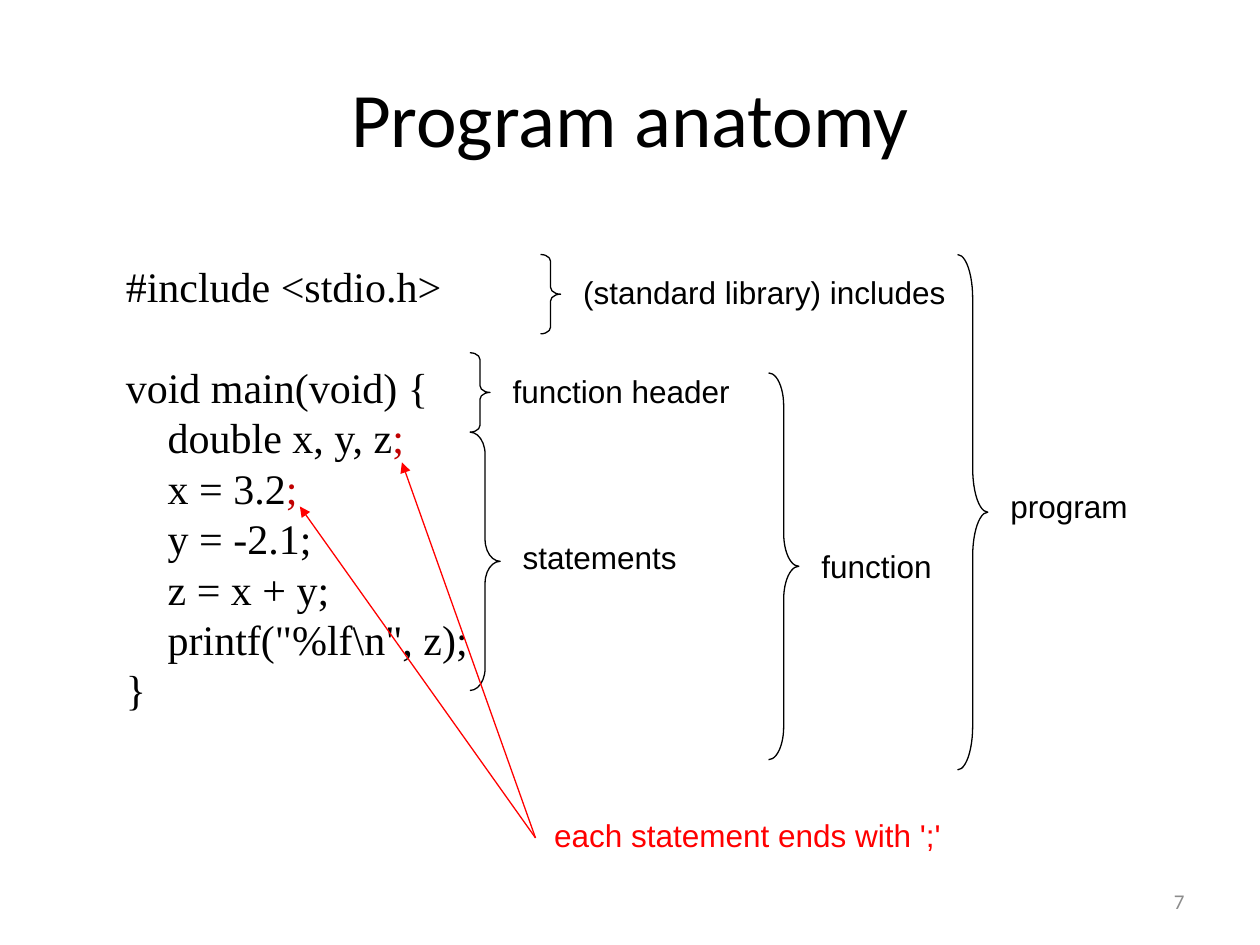
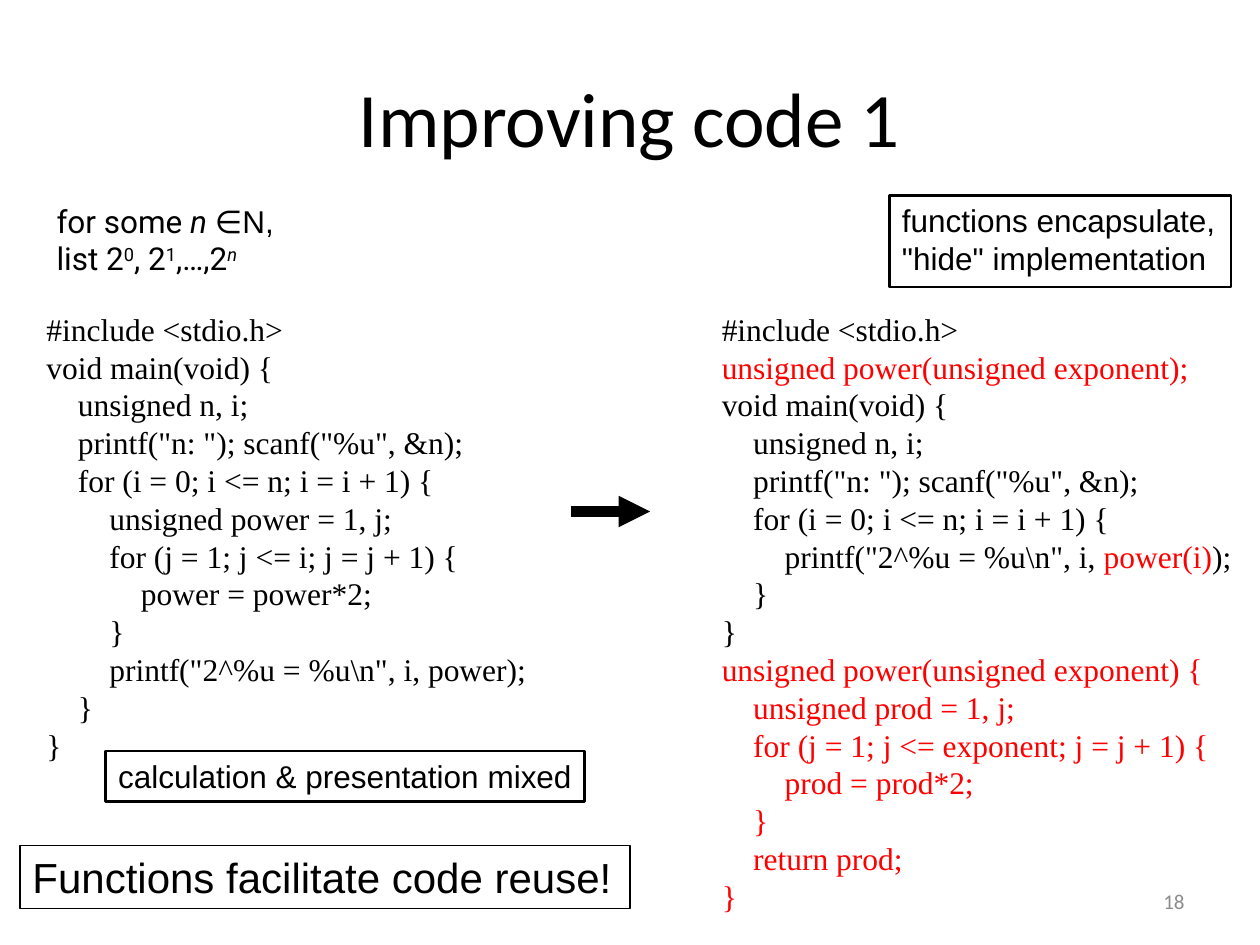
from dataclasses import dataclass

from lxml.etree import SubElement
from pptx import Presentation
from pptx.dml.color import RGBColor
from pptx.enum.shapes import MSO_CONNECTOR, MSO_SHAPE
from pptx.enum.text import MSO_ANCHOR, PP_ALIGN
from pptx.oxml.ns import qn
from pptx.util import Inches, Pt


@dataclass(frozen=True)
class Theme:
    ink: str = "000000"
    red: str = "FF0000"
    dark_red: str = "C00000"
    grey: str = "8C8C8C"
    head_font: str = "Calibri"
    body_font: str = "Arial"
    code_font: str = "Times New Roman"
    math_font: str = "Roboto"
    symbol_font: str = "Comic Neue"
    title: int = 44
    large: int = 24
    body: int = 18
    small: int = 12
    leading: float = 1.2
    thin: float = 0.75
    medium: float = 1.5
    thick: float = 6


COLS, ROWS = 100, 75
PROGRAM = r"""#include <stdio.h>

void main(void) {
    double x, y, z|;|
    x = 3.2|;|
    y = -2.1;
    z = x + y;
    printf("%lf\n", z);
}"""

MIXED_CODE = r"""#include <stdio.h>
void main(void) {
    unsigned n, i;
    printf("n: "); scanf("%u", &n);
    for (i = 0; i <= n; i = i + 1) {
        unsigned power = 1, j;
        for (j = 1; j <= i; j = j + 1) {
            power = power*2;
        }
        printf("2^%u = %u\n", i, power);
    }
}"""

SPLIT_CODE = r"""#include <stdio.h>
|unsigned power(unsigned exponent);|
void main(void) {
    unsigned n, i;
    printf("n: "); scanf("%u", &n);
    for (i = 0; i <= n; i = i + 1) {
        printf("2^%u = %u\n", i, |power(i)|);
    }
}
|unsigned power(unsigned exponent) {|
|    unsigned prod = 1, j;|
|    for (j = 1; j <= exponent; j = j + 1) {|
|        prod = prod*2;|
|    }|
|    return prod;|
|}|"""


class Deck:
    """Theme and current slide; lengths are grid columns and rows."""

    def __init__(self, theme):
        self.t = theme
        self.prs = Presentation()
        self.prs.slide_width, self.prs.slide_height = Inches(10), Inches(7.5)
        self.slide = None

    def x(self, cols):
        return round(self.prs.slide_width * cols / COLS)

    def y(self, rows):
        return round(self.prs.slide_height * rows / ROWS)

    def frame(self, left, top, width, height):
        return self.x(left), self.y(top), self.x(width), self.y(height)

    def add_slide(self, title, number):
        t = self.t
        self.slide = self.prs.slides.add_slide(self.prs.slide_layouts[6])
        self.text((5, 3, 90, 12.5), [[(title, {})]], t.title, t.head_font,
                  align=PP_ALIGN.CENTER, anchor=MSO_ANCHOR.MIDDLE, wrap=True)
        self.text((71.7, 69.5, 23.3, 4), [[(str(number), {})]], t.small,
                  t.head_font, t.grey, PP_ALIGN.RIGHT, MSO_ANCHOR.MIDDLE, True)

    def fill_text(self, sp, lines, size, font, color=None,
                  align=PP_ALIGN.LEFT, anchor=MSO_ANCHOR.TOP, wrap=False):
        """Each line is a list of (text, style) runs; an empty line is a gap."""
        tf = sp.text_frame
        tf.word_wrap, tf.vertical_anchor = wrap, anchor
        pitch = Pt(size * self.t.leading)
        p, gap = None, 0
        for runs in lines:
            if not runs:
                gap += pitch
                continue
            p = tf.add_paragraph() if p is not None else tf.paragraphs[0]
            p.alignment, p.line_spacing = align, pitch
            if gap:
                p.space_before, gap = gap, 0
            for text, style in runs:
                r = p.add_run()
                r.text = text
                r.font.size = Pt(size)
                r.font.name = style.get("font", font)
                r.font.italic = style.get("italic", False)
                r.font.color.rgb = RGBColor.from_string(
                    style.get("color", color or self.t.ink))
                if style.get("raised"):
                    r._r.get_or_add_rPr().set("baseline", "30000")

    def text(self, area, lines, size, font, *style, **more):
        sp = self.slide.shapes.add_textbox(*self.frame(*area))
        self.fill_text(sp, lines, size, font, *style, **more)

    def label(self, area, words, color=None):
        self.text(area, [[(words, {})]], self.t.body, self.t.body_font, color)

    def code(self, area, source, size, accent):
        """Bars in the source switch the accent colour on and off."""
        lines = [[(part, {"color": accent} if i % 2 else {})
                  for i, part in enumerate(line.split("|")) if part]
                 for line in source.split("\n")]
        self.text(area, lines, size, self.t.code_font)

    def outline(self, kind, area, weight):
        sp = self.slide.shapes.add_shape(kind, *self.frame(*area))
        sp.shadow.inherit = False
        sp.fill.background()
        sp.line.color.rgb = RGBColor.from_string(self.t.ink)
        sp.line.width = Pt(weight)
        return sp

    def note(self, area, words, size, weight):
        sp = self.outline(MSO_SHAPE.RECTANGLE, area, weight)
        self.fill_text(sp, [[(w, {})] for w in words], size, self.t.body_font)

    def brace(self, area, words, label_top, label_width):
        left, _, width, height = area
        sp = self.outline(MSO_SHAPE.RIGHT_BRACE, area, self.t.thin)
        sp.adjustments[0] = 0.085 * height / width
        sp.adjustments[1] = 0.5
        self.label((left + width + 0.8, label_top, label_width, 4), words)

    def arrow(self, start, end, color, weight):
        line = self.slide.shapes.add_connector(
            MSO_CONNECTOR.STRAIGHT, self.x(start[0]), self.y(start[1]),
            self.x(end[0]), self.y(end[1]))
        line.line.color.rgb = RGBColor.from_string(color)
        line.line.width = Pt(weight)
        SubElement(line.line._get_or_add_ln(), qn("a:tailEnd"), type="triangle")
        SubElement(line._element.spPr, qn("a:effectLst"))


def program_anatomy(deck):
    t = deck.t
    deck.add_slide("Program anatomy", 7)
    deck.code((9, 20.2, 29.4, 37.4), PROGRAM, t.large, t.dark_red)

    # Braces naming the parts of the program
    for area, words, label_top, label_width in (
            ((61, 29.6, 2.4, 30.7), "function", 42.9, 10.9),
            ((42.9, 20.2, 1.6, 6.3), "(standard library) includes", 21.2, 30.8),
            ((76, 20.2, 2.4, 40.9), "program", 38.2, 11.3),
            ((37.3, 34.3, 2.4, 20.5), "statements", 42.2, 14.2),
            ((37.3, 28, 1.6, 6.3), "function header", 29, 19.2)):
        deck.brace(area, words, label_top, label_width)

    # Semicolon remark
    for semicolon in ((31.9, 36.7), (23.8, 40.2)):
        deck.arrow((42.5, 66.5), semicolon, t.red, t.thin)
    deck.label((43, 64.3, 33, 4), "each statement ends with ';'", t.red)


def improving_code(deck):
    t = deck.t
    deck.add_slide("Improving code 1", 18)

    # Task
    raised = {"raised": True}
    deck.text((3.5, 15.5, 19.9, 7.1), [
        [("for some", {}), (" n ", {"italic": True}),
         ("∈", {"font": t.symbol_font}), ("N,", {"font": t.body_font})],
        [("list 2", {}), ("0", raised), (", 2", {}), ("1", raised),
         (",…,2", {}), ("n", {"italic": True, **raised})],
    ], t.body, t.math_font)

    # Code before and after
    deck.code((2.7, 24.1, 40.1, 37), MIXED_CODE, t.body, t.red)
    deck.code((56.3, 24.1, 42.5, 49.1), SPLIT_CODE, t.body, t.red)
    deck.arrow((45.3, 40.6), (51.6, 40.6), t.ink, t.thick)

    # Framed remarks
    deck.note((8.4, 59.6, 38, 4), ["calculation & presentation mixed"],
              t.body, t.medium)
    deck.note((70.6, 15.5, 27.1, 7.3),
              ["functions encapsulate,", '"hide" implementation'],
              t.body, t.medium)
    deck.note((1.6, 67.1, 48.4, 5), ["Functions facilitate code reuse!"],
              t.large, t.thin)


def main():
    deck = Deck(Theme())
    program_anatomy(deck)
    improving_code(deck)
    deck.prs.save("out.pptx")


if __name__ == "__main__":
    main()
